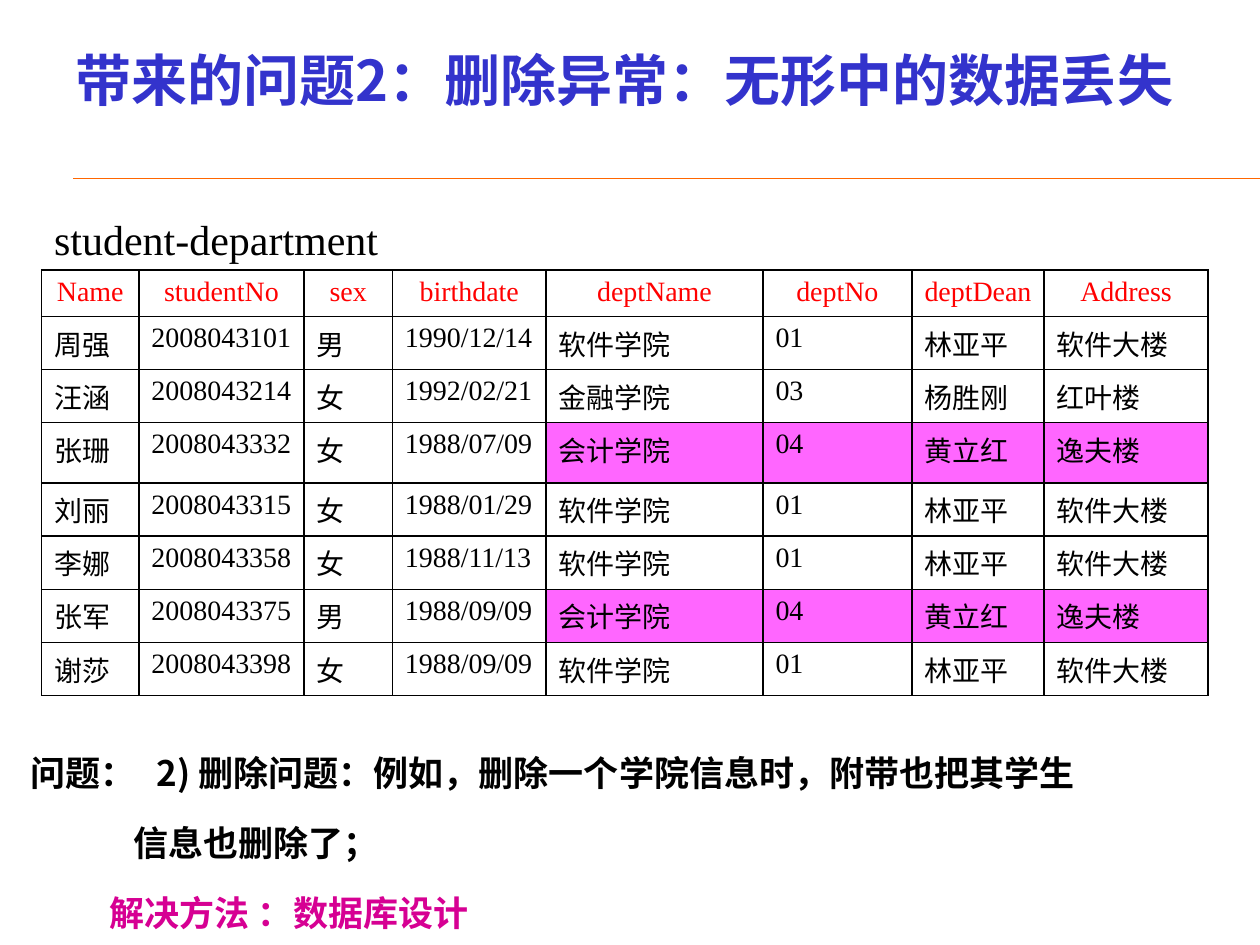
from dataclasses import dataclass

from lxml import etree
from pptx import Presentation
from pptx.dml.color import RGBColor
from pptx.enum.shapes import MSO_CONNECTOR
from pptx.enum.text import MSO_ANCHOR, MSO_AUTO_SIZE, PP_ALIGN
from pptx.oxml.ns import qn
from pptx.util import Cm, Pt

STRAIGHT = MSO_CONNECTOR.STRAIGHT
MIDDLE = MSO_ANCHOR.MIDDLE
NO_AUTOFIT = MSO_AUTO_SIZE.NONE
CENTER, LEFT = PP_ALIGN.CENTER, PP_ALIGN.LEFT

COLORS = {
    "title": "3333CC",
    "rule": "FF6600",
    "header": "FF0000",
    "text": "000000",
    "solution": "D60093",
    "highlight": "FF66FF",
}
SANS, SERIF = "Noto Sans CJK SC", "Times New Roman"


@dataclass
class Student:
    name: str
    number: str
    sex: str
    birthdate: str
    dept_no: str


@dataclass
class Department:
    name: str
    dean: str
    address: str


@dataclass
class Note:
    text: str
    color: str
    margin: float
    tab: float = 0


HEADERS = ["Name", "studentNo", "sex", "birthdate",
           "deptName", "deptNo", "deptDean", "Address"]
COLUMN_WIDTHS = [1.96, 3.33, 1.78, 3.1, 4.37, 3.0, 2.67, 3.3]
ROW_HEIGHTS = [0.94, 1.07, 1.07, 1.22, 1.07, 1.07, 1.07, 1.07]
DEPARTMENTS = {
    "01": Department("软件学院", "林亚平", "软件大楼"),
    "03": Department("金融学院", "杨胜刚", "红叶楼"),
    "04": Department("会计学院", "黄立红", "逸夫楼"),
}
LOST_DEPARTMENT = "04"
STUDENTS = [
    Student("周强", "2008043101", "男", "1990/12/14", "01"),
    Student("汪涵", "2008043214", "女", "1992/02/21", "03"),
    Student("张珊", "2008043332", "女", "1988/07/09", "04"),
    Student("刘丽", "2008043315", "女", "1988/01/29", "01"),
    Student("李娜", "2008043358", "女", "1988/11/13", "01"),
    Student("张军", "2008043375", "男", "1988/09/09", "04"),
    Student("谢莎", "2008043398", "女", "1988/09/09", "01"),
]
NOTES = [
    Note("问题：\t2) 删除问题：例如，删除一个学院信息时，附带也把其学生", "text", 0, 2.95),
    Note("信息也删除了；", "text", 2.08),
    Note("解决方法 ：数据库设计", "solution", 1.6),
]


def place(shape, left: float, top: float, width: float, height: float) -> None:
    shape.left, shape.top = Cm(left), Cm(top)
    shape.width, shape.height = Cm(width), Cm(height)


def style(paragraph, size: int, face: str, color: str, bold: bool = False) -> None:
    font = paragraph.font
    font.size, font.name, font.bold = Pt(size), face, bold
    font.color.rgb = RGBColor.from_string(COLORS[color])
    properties = paragraph._p.pPr.find(qn("a:defRPr"))
    etree.SubElement(properties, qn("a:ea"), typeface=SANS)


def add_borders(cell) -> None:
    properties = cell._tc.get_or_add_tcPr()
    for side in ("lnL", "lnR", "lnT", "lnB"):
        border = etree.SubElement(properties, qn(f"a:{side}"), w=str(Pt(1)))
        fill = etree.SubElement(border, qn("a:solidFill"))
        etree.SubElement(fill, qn("a:srgbClr"), val=COLORS["text"])


def fill_cell(cell, text: str, is_header: bool, highlighted: bool) -> None:
    add_borders(cell)
    if highlighted:
        cell.fill.solid()
        cell.fill.fore_color.rgb = RGBColor.from_string(COLORS["highlight"])
    else:
        cell.fill.background()
    paragraph = cell.text_frame.paragraphs[0]
    paragraph.text = text
    paragraph.alignment = CENTER if is_header else LEFT
    paragraph.space_before = Pt(1.6)
    style(paragraph, 16, SERIF, "header" if is_header else "text")


def add_student_table(slide) -> None:
    table = slide.shapes.add_table(
        len(ROW_HEIGHTS), len(HEADERS), Cm(0.84), Cm(5.44),
        Cm(sum(COLUMN_WIDTHS)), Cm(sum(ROW_HEIGHTS))).table
    table.first_row = table.horz_banding = False
    for column, width in zip(table.columns, COLUMN_WIDTHS):
        column.width = Cm(width)
    for row, height in zip(table.rows, ROW_HEIGHTS):
        row.height = Cm(height)

    for col, header in enumerate(HEADERS):
        fill_cell(table.cell(0, col), header, True, False)
    dept_start = HEADERS.index("deptName")
    for row, student in enumerate(STUDENTS, start=1):
        dept = DEPARTMENTS[student.dept_no]
        values = [student.name, student.number, student.sex, student.birthdate,
                  dept.name, student.dept_no, dept.dean, dept.address]
        for col, value in enumerate(values):
            lost = student.dept_no == LOST_DEPARTMENT and col >= dept_start
            fill_cell(table.cell(row, col), value, False, lost)


def add_note(paragraph, note: Note) -> None:
    paragraph.text = note.text
    paragraph.line_spacing = 1.5
    paragraph.space_before = Pt(4)
    properties = paragraph._p.get_or_add_pPr()
    properties.set("marL", str(Cm(note.margin)))
    properties.set("indent", "0")
    etree.SubElement(properties, qn("a:buNone"))
    if note.tab:
        tabs = etree.SubElement(properties, qn("a:tabLst"))
        etree.SubElement(tabs, qn("a:tab"), pos=str(Cm(note.tab)), algn="l")
    style(paragraph, 20, SANS, note.color, bold=True)


def main() -> None:
    prs = Presentation()
    prs.slide_width, prs.slide_height = Cm(25.4), Cm(19.05)
    slide = prs.slides.add_slide(prs.slide_layouts[1])

    # Title and the rule below it
    title = slide.shapes.title
    place(title, 0.84, 0, 23.5, 3.18)
    title.text_frame.auto_size = NO_AUTOFIT
    title.text_frame.vertical_anchor = MIDDLE
    heading = title.text_frame.paragraphs[0]
    heading.text = "带来的问题2：删除异常：无形中的数据丢失"
    heading.alignment = CENTER
    style(heading, 32, SANS, "title", bold=True)

    rule = slide.shapes.add_connector(STRAIGHT, Cm(1.48), Cm(3.6), Cm(25.4), Cm(3.6))
    rule.line.color.rgb = RGBColor.from_string(COLORS["rule"])
    rule.line.width = Pt(0.75)
    etree.SubElement(rule._element.spPr, qn("a:effectLst"))

    # Problem and solution
    body = slide.placeholders[1]
    place(body, 0.36, 14.6, 24.7, 4.32)
    frame = body.text_frame
    frame.auto_size = NO_AUTOFIT
    for index, note in enumerate(NOTES):
        add_note(frame.add_paragraph() if index else frame.paragraphs[0], note)

    # Relation table and its name
    add_student_table(slide)
    label = slide.shapes.add_textbox(Cm(0.84), Cm(4.17), Cm(8.26), Cm(1.27)).text_frame
    label.word_wrap = True
    label.vertical_anchor = MIDDLE
    label.paragraphs[0].text = "student-department"
    style(label.paragraphs[0], 24, SERIF, "text")

    prs.save("out.pptx")


if __name__ == "__main__":
    main()
